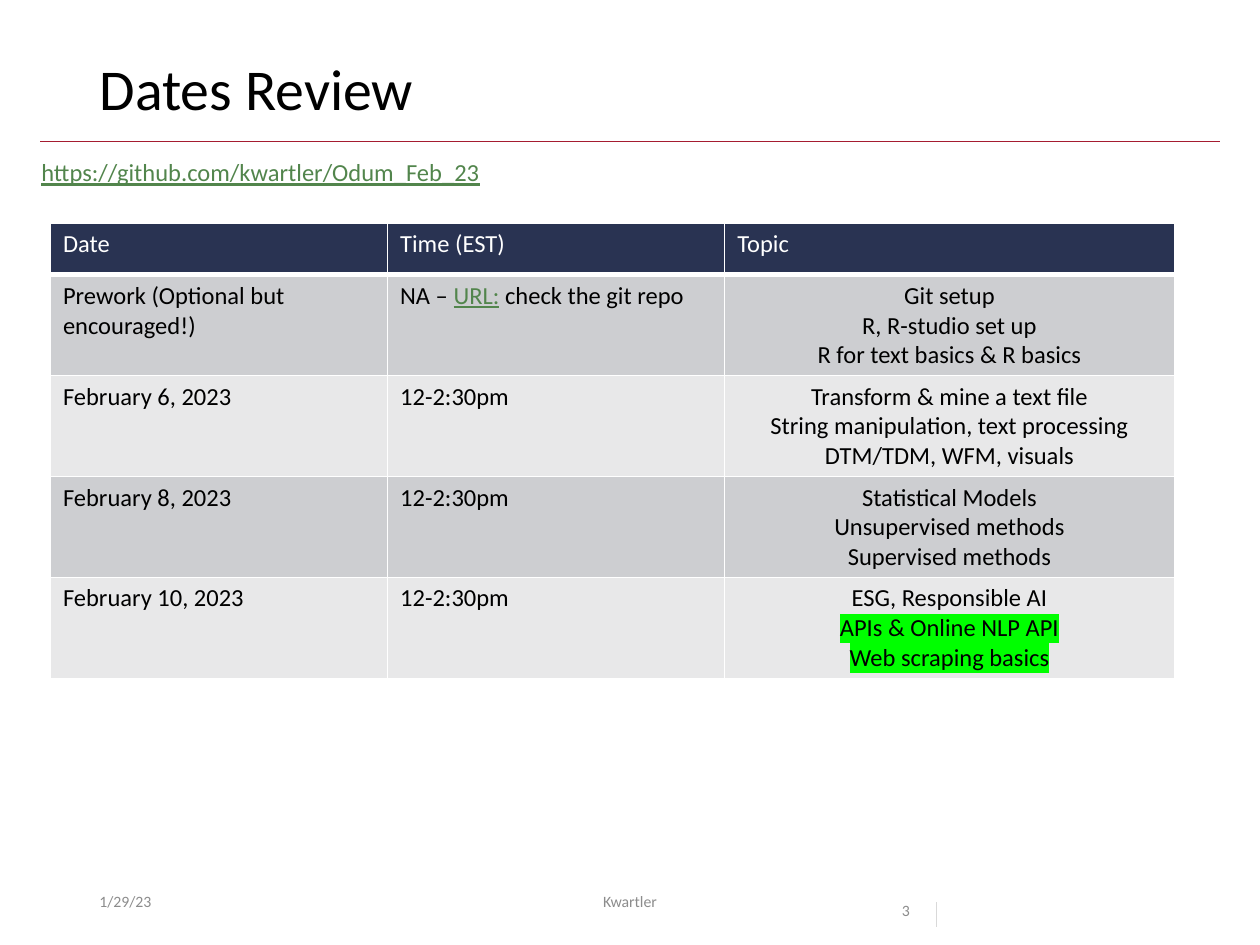
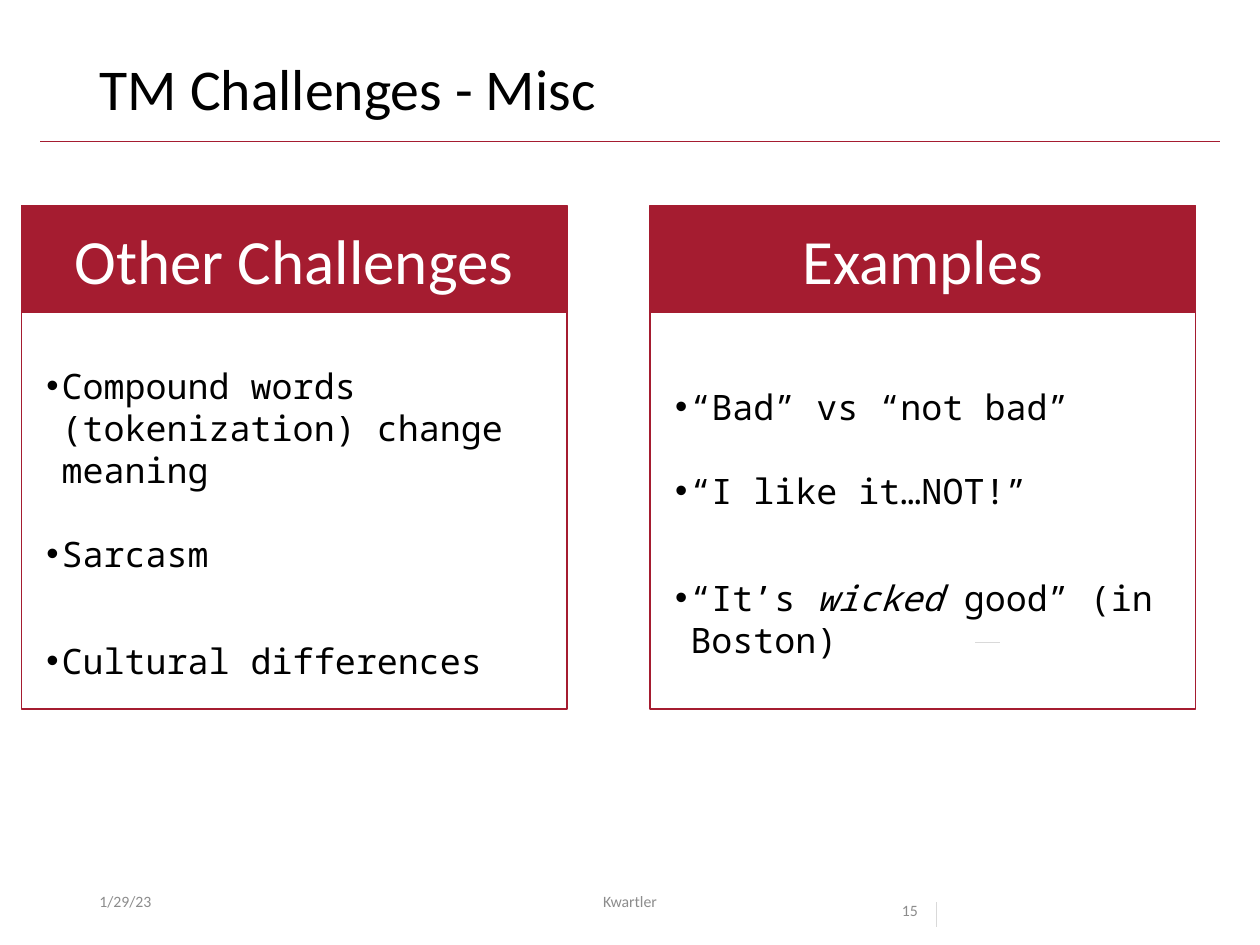
from lxml.etree import SubElement as Sub, Element as Elem
from pptx import Presentation
from pptx.dml.color import RGBColor as Rgb
from pptx.enum.shapes import MSO_CONNECTOR as Link, MSO_SHAPE as Form
from pptx.enum.text import MSO_ANCHOR as Anchor, PP_ALIGN as Align
from pptx.oxml.ns import qn
from pptx.util import Inches, Pt

BLACK, WHITE = Rgb(0, 0, 0), Rgb(255, 255, 255)
RED = Rgb(0xA5, 0x1C, 0x30)
NAVY = Rgb(0x29, 0x33, 0x52)
GREEN = Rgb(0x52, 0x85, 0x4C)
LIME = Rgb(0, 0xFF, 0)
GRAY = Rgb(0x8C, 0x8C, 0x8C)
PALE = Rgb(0xD9, 0xD9, 0xD9)
BANDS = Rgb(0xCD, 0xCE, 0xD1), Rgb(0xE8, 0xE8, 0xE9)

# The slide is a grid of 100 columns by 75 rows, each cell 0.1 inch square.
COLS, ROWS = 100, 75
UNIT = Inches(0.1)

TITLE = dict(name="Calibri", size=Pt(33), color=BLACK)
FOOT = dict(name="Calibri", size=Pt(9), color=GRAY)
BASE = dict(name="Calibri", size=Pt(14), color=BLACK)
HEAD = dict(name="Calibri", size=Pt(36), color=WHITE)
MONO = dict(name="Noto Sans Mono", size=Pt(20), color=BLACK)
URL = dict(color=GREEN, underline=True)
MARK = dict(mark=LIME)


def grid(*vals):
    return [round(v * UNIT) for v in vals]


def style(font, fmt):
    for key, val in fmt.items():
        if key == "color":
            font.color.rgb = val
        elif key != "mark":
            setattr(font, key, val)


def mark(run, color):
    """Highlight a run whose text colour is already set."""
    tag = Elem(qn("a:highlight"))
    Sub(tag, qn("a:srgbClr"), val=str(color))
    run.font._element.find(qn("a:solidFill")).addnext(tag)


def write(frame, paras, fmt, **look):
    """Fill a frame; a paragraph is a string or a list of (text, format) runs."""
    for num, runs in enumerate(paras):
        para = frame.paragraphs[0] if num == 0 else frame.add_paragraph()
        for key, val in look.items():
            setattr(para, key, val)
        for text, more in [(runs, {})] if isinstance(runs, str) else runs:
            run = para.add_run()
            run.text = text
            style(run.font, {**fmt, **more})
            if "mark" in more:
                mark(run, more["mark"])


def label(slide, box, paras, fmt, anchor=Anchor.TOP, **look):
    frame = slide.shapes.add_textbox(*grid(*box)).text_frame
    frame.word_wrap = True
    frame.vertical_anchor = anchor
    write(frame, paras, fmt, **look)
    return frame


def rule(slide, ends, color):
    line = slide.shapes.add_connector(Link.STRAIGHT, *grid(*ends))
    line.line.color.rgb = color
    line.line.width = Pt(0.5)
    Sub(line._element.spPr, qn("a:effectLst"))


def panel(slide, box, fill=None):
    shape = slide.shapes.add_shape(Form.RECTANGLE, *grid(*box))
    shape.shadow.inherit = False
    shape.line.color.rgb = RED
    shape.line.width = Pt(1)
    if fill is None:
        shape.fill.background()
    else:
        shape.fill.solid()
        shape.fill.fore_color.rgb = fill
    return shape.text_frame


def footer(slide, box, page):
    left, top, wide, high = box
    label(slide, (left, top, 22.5, high), ["1/29/23"], FOOT, Anchor.MIDDLE)
    label(slide, (left + 26.2, top, 33.8, high), ["Kwartler"], FOOT,
          Anchor.MIDDLE, alignment=Align.CENTER)
    label(slide, (left + wide - 9.4, top, 9.4, high), [page], FOOT,
          line_spacing=2.0)
    tick = left + wide - 5.7
    rule(slide, (tick, top + 2.1, tick, top + 4.1), PALE)


def start(deck, title, page):
    """Add a slide with the shared title, rule and footer."""
    slide = deck.slides.add_slide(deck.slide_layouts[5])
    rule(slide, (3.2, 11.2, COLS - 3.2, 11.2), RED)
    head = slide.shapes.title
    head.left, head.top, head.width, head.height = grid(6.9, 4, 86.2, 6.5)
    head.text_frame.vertical_anchor = Anchor.MIDDLE
    write(head.text_frame, [title], TITLE, alignment=Align.LEFT,
          line_spacing=0.9)
    footer(slide, (6.9, ROWS - 5.5, 73.1, 4), page)
    return slide


def edge(cell, **sides):
    props = cell._tc.get_or_add_tcPr()
    for side in "LRTB":
        line = Sub(props, qn(f"a:ln{side}"), w=str(Pt(sides.get(side, 1))))
        fill = Sub(line, qn("a:solidFill"))
        Sub(fill, qn("a:srgbClr"), val=str(WHITE))


def agenda(slide, box, rows):
    left, top, wide, high = box
    table = slide.shapes.add_table(len(rows), 3, *grid(*box)).table
    for col, part in zip(table.columns, (0.3, 0.3, 0.4)):
        col.width = round(wide * part * UNIT)
    first = 4.1
    rest = (high - first) / (len(rows) - 1)
    for num, row in enumerate(rows):
        table.rows[num].height = round((rest if num else first) * UNIT)
        for pos, paras in enumerate(row):
            cell = table.cell(num, pos)
            edge(cell, **{0: dict(B=3), 1: dict(T=3)}.get(num, {}))
            cell.fill.solid()
            cell.fill.fore_color.rgb = BANDS[(num - 1) % 2] if num else NAVY
            mid = num and pos == 2
            write(cell.text_frame, paras,
                  BASE if num else {**BASE, "color": WHITE},
                  alignment=Align.CENTER if mid else Align.LEFT)


def bullet(para, gap):
    props = para._p.get_or_add_pPr()
    dent = Inches(0.12)
    props.set("marL", str(dent))
    props.set("indent", str(-dent))
    Sub(props, qn("a:buFont"), typeface="Arial")
    Sub(props, qn("a:buChar"), char="•")
    if gap:
        para.space_before = Pt(gap)


def card(slide, box, head, items, tall):
    """Draw a headed panel; its list is `tall` rows high, centred on the box."""
    left, top, wide, high = box
    mid = top + high * 0.592
    frame = label(slide, (left + 1, mid - tall / 2, wide - 1.8, tall),
                  items, MONO)
    for para, gap in zip(frame.paragraphs, (0, 24, 37)):
        bullet(para, gap)
    band = panel(slide, (left, top, wide, 8.5), RED)
    write(band, [head], HEAD, alignment=Align.CENTER)
    panel(slide, (left, top + 1.5, wide, high - 1.5))


def dates(deck):
    slide = start(deck, "Dates Review", "3")
    label(slide, (2.3, 12, 95.4, 3.4),
          [[("https://github.com/kwartler/Odum_Feb_23", URL)]], BASE)
    hours = ["12-2:30pm"]
    agenda(slide, (4, 17.7, 89.2, 36.1), [
        (["Date"], ["Time (EST)"], ["Topic"]),
        (["Prework (Optional but encouraged!)"],
         [[("NA – ", {}), ("URL:", URL), (" check the git repo", {})]],
         ["Git setup", "R, R-studio set up", "R for text basics & R basics"]),
        (["February 6, 2023"], hours,
         ["Transform & mine a text file",
          "String manipulation, text processing", "DTM/TDM, WFM, visuals"]),
        (["February 8, 2023"], hours,
         ["Statistical Models", "Unsupervised methods",
          "Supervised methods"]),
        (["February 10, 2023"], hours,
         ["ESG, Responsible AI", [("APIs & Online NLP API", MARK)],
          [("Web scraping basics", MARK)]]),
    ])


def misc(deck):
    slide = start(deck, "TM Challenges - Misc", "15")
    cards = [
        ("Other Challenges",
         ["Compound words (tokenization) change meaning", "Sarcasm",
          "Cultural differences"], 23.1),
        ("Examples",
         ["“Bad” vs “not bad”", "“I like it…NOT!”",
          [("“It’s ", {}), ("wicked", dict(italic=True)),
           (" good” (in Boston)", {})]], 19.7),
    ]
    for num, parts in enumerate(cards):
        card(slide, (1.7 + 49.9 * num, 16.3, 43.3, 40), *parts)
    rule(slide, (77.4, 51, 79.4, 51), PALE)


def main():
    deck = Presentation()
    deck.slide_width, deck.slide_height = grid(COLS, ROWS)
    dates(deck)
    misc(deck)
    deck.save("out.pptx")


if __name__ == "__main__":
    main()
